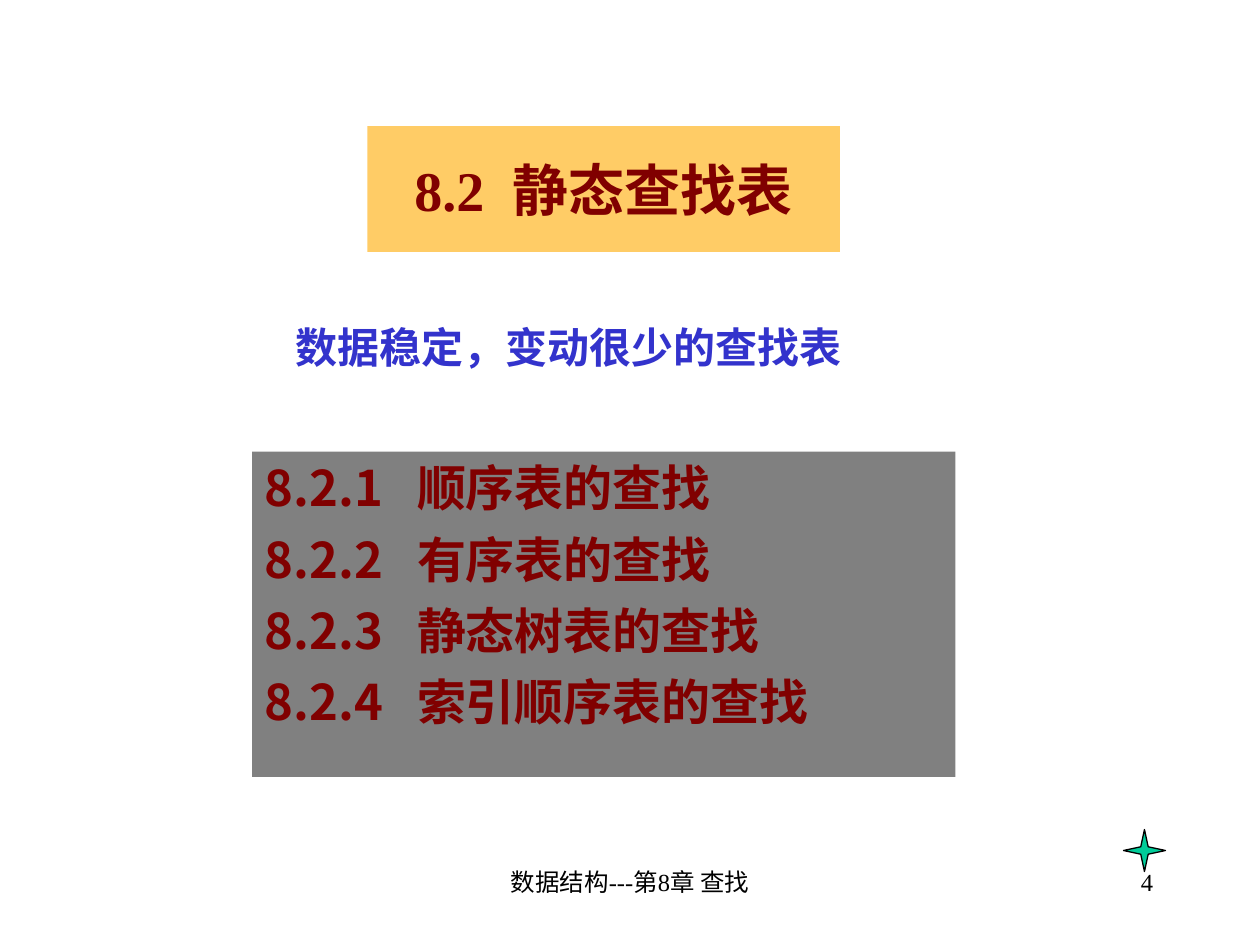
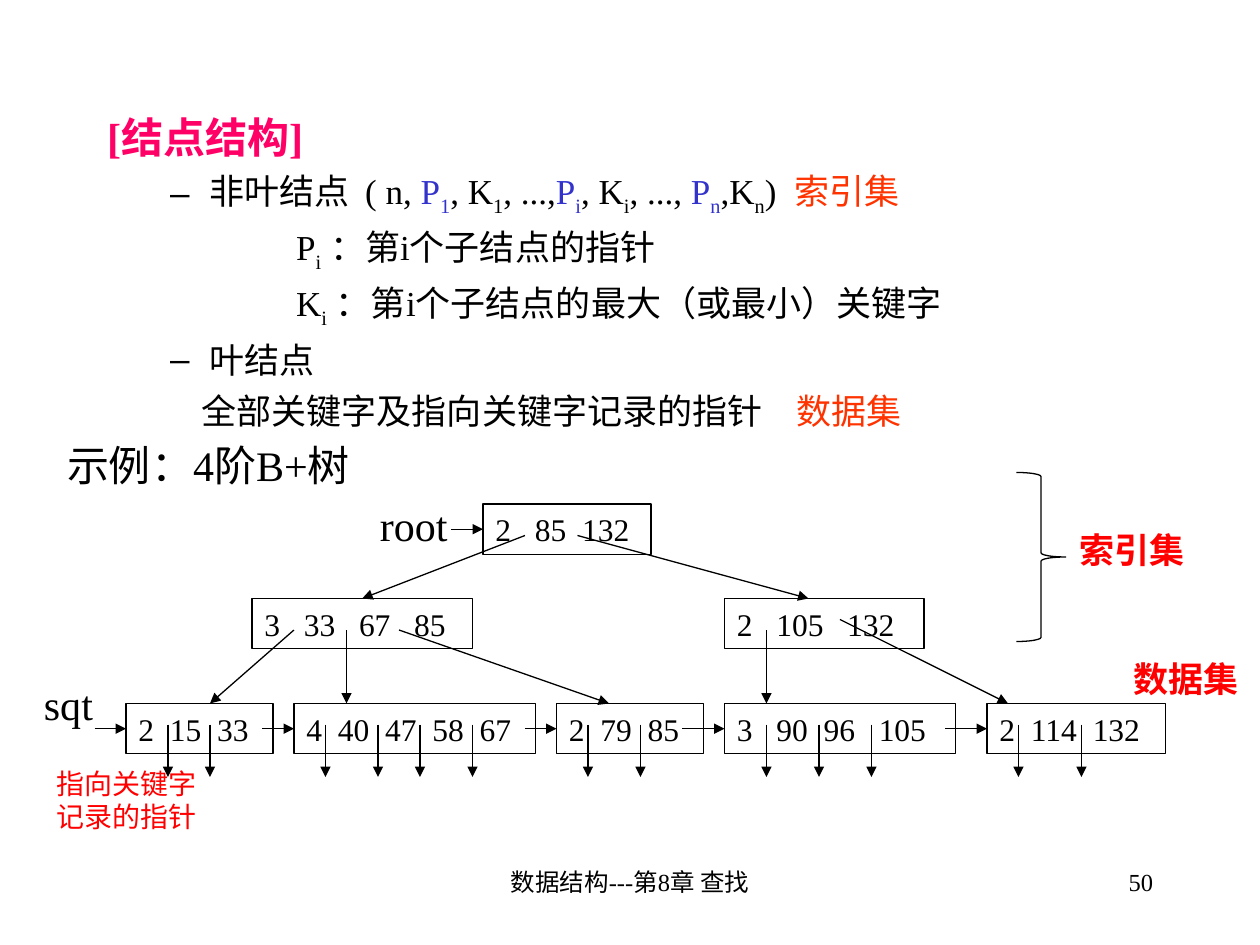
from dataclasses import dataclass

from lxml.etree import SubElement
from pptx import Presentation
from pptx.dml.color import RGBColor
from pptx.enum.shapes import MSO_CONNECTOR, MSO_SHAPE
from pptx.enum.text import MSO_ANCHOR, MSO_AUTO_SIZE, PP_ALIGN
from pptx.oxml.ns import qn
from pptx.util import Inches, Pt

COLUMNS, ROWS = 120, 90
SLIDE_WIDTH, SLIDE_HEIGHT = Inches(10), Inches(7.5)


@dataclass(frozen=True)
class Theme:
    serif: str = "Times New Roman"
    sans: str = "Noto Sans CJK SC"
    black: str = "000000"
    maroon: str = "800000"
    blue: str = "3333CC"
    pink: str = "FF0066"
    orange: str = "FF3300"
    red: str = "FF0000"
    green: str = "00CC99"
    title_band: str = "FFCC66"
    list_band: str = "808080"
    title: int = 32
    section: int = 28
    heading: int = 24
    body: int = 20
    key: int = 18
    note: int = 16
    footer: int = 14
    line: float = 0.75
    leading: float = 1.2


THEME = Theme()


@dataclass(frozen=True)
class Box:
    """An area counted in columns and rows of the slide grid."""
    left: float
    top: float
    width: float
    height: float

    def inner(self, left, top, width, height):
        return Box(self.left + left, self.top + top, width, height)

    def emu(self):
        column, row = SLIDE_WIDTH / COLUMNS, SLIDE_HEIGHT / ROWS
        return (round(self.left * column), round(self.top * row),
                round(self.width * column), round(self.height * row))


SLIDE = Box(0, 0, COLUMNS, ROWS)


def format_run(run, size, color, font=THEME.serif, bold=False):
    run.font.size = Pt(size)
    run.font.bold = bold
    run.font.color.rgb = RGBColor.from_string(color)
    run.font.name = font
    SubElement(run._r.get_or_add_rPr(), qn("a:ea"), typeface=THEME.sans)


def add_run(paragraph, text, size, color=THEME.black):
    run = paragraph.add_run()
    run.text = text
    format_run(run, size, color)
    return run


def add_gap(paragraph, size, units):
    """Add one space, widened by character spacing to a number of quarter ems."""
    gap = add_run(paragraph, " ", size)
    gap._r.get_or_add_rPr().set("spc", str(size * 25 * (units - 1)))


def format_paragraph(paragraph, size, color=THEME.black, font=THEME.serif,
                     bold=False, align=PP_ALIGN.LEFT, before=0):
    paragraph.alignment = align
    paragraph.space_before = Pt(before)
    paragraph.line_spacing = Pt(size * THEME.leading)
    for run in paragraph.runs:
        format_run(run, size, color, font, bold)


def set_indent(paragraph, margin, first=0, bullet=None):
    """Set margin and first-line indent, in inches, and the bullet."""
    properties = paragraph._p.get_or_add_pPr()
    properties.set("marL", str(Inches(margin)))
    properties.set("indent", str(Inches(first)))
    if bullet:
        bullet_color = SubElement(properties, qn("a:buClr"))
        SubElement(bullet_color, qn("a:srgbClr"), val=THEME.black)
        SubElement(properties, qn("a:buChar"), char=bullet)
    else:
        SubElement(properties, qn("a:buNone"))


def place(placeholder, box, fill=None):
    """Move a placeholder to the box and return its text frame."""
    (placeholder.left, placeholder.top,
     placeholder.width, placeholder.height) = box.emu()
    if fill:
        placeholder.fill.solid()
        placeholder.fill.fore_color.rgb = RGBColor.from_string(fill)
    frame = placeholder.text_frame
    frame.auto_size = MSO_AUTO_SIZE.NONE
    return frame


def add_label(slide, box, text, size, **style):
    frame = slide.shapes.add_textbox(*box.emu()).text_frame
    frame.word_wrap = True
    frame.text = text
    format_paragraph(frame.paragraphs[0], size, **style)


def add_outlined(slide, preset, box, fill=None):
    shape = slide.shapes.add_shape(preset, *box.emu())
    shape.shadow.inherit = False
    if fill:
        shape.fill.solid()
        shape.fill.fore_color.rgb = RGBColor.from_string(fill)
    else:
        shape.fill.background()
    shape.line.color.rgb = RGBColor.from_string(THEME.black)
    shape.line.width = Pt(THEME.line)
    return shape


def add_arrow(slide, box, start, end, target=None, side=0):
    """Draw an arrow between grid points, joined to a side of the target if given."""
    x1, y1, _, _ = box.inner(*start, 0, 0).emu()
    x2, y2, _, _ = box.inner(*end, 0, 0).emu()
    arrow = slide.shapes.add_connector(MSO_CONNECTOR.STRAIGHT, x1, y1, x2, y2)
    arrow.line.color.rgb = RGBColor.from_string(THEME.black)
    arrow.line.width = Pt(THEME.line)
    SubElement(arrow.line._get_or_add_ln(), qn("a:tailEnd"), type="triangle")
    SubElement(arrow._element.spPr, qn("a:effectLst"))
    if target is not None:
        arrow.end_connect(target, side)


def add_footer(slide, box, number):
    add_label(slide, box.inner(41, 82, 38, 6), "数据结构---第8章 查找",
              THEME.footer, align=PP_ALIGN.CENTER)
    add_label(slide, box.inner(86, 82, 25, 6), number,
              THEME.footer, align=PP_ALIGN.RIGHT)


SECTIONS = ("顺序表的查找", "有序表的查找", "静态树表的查找", "索引顺序表的查找")


def build_section_slide(slide, box):
    add_footer(slide, box, "4")
    title = place(slide.shapes.title, box.inner(35, 12, 45, 12), THEME.title_band)
    title.vertical_anchor = MSO_ANCHOR.MIDDLE
    title.text = "8.2  静态查找表"
    format_paragraph(title.paragraphs[0], THEME.title, THEME.maroon,
                     bold=True, align=PP_ALIGN.CENTER)

    contents = place(slide.placeholders[1], box.inner(24, 43, 67, 31), THEME.list_band)
    contents.text = "\n".join(f"8.2.{i}\t{name}" for i, name in enumerate(SECTIONS, 1))
    for i, section in enumerate(contents.paragraphs):
        set_indent(section, 1.21, -1.21)
        format_paragraph(section, THEME.section, THEME.maroon, THEME.sans,
                         bold=True, before=7.2 if i else 0)

    add_outlined(slide, MSO_SHAPE.STAR_4_POINT, box.inner(107, 79, 4, 4), THEME.green)
    add_label(slide, box.inner(27, 30, 66, 6), "数据稳定，变动很少的查找表",
              THEME.heading, color=THEME.blue, bold=True)


BULLET = dict(margin=0.81, first=-0.31, bullet="–")
DEFINITION = dict(margin=1.75, first=-0.25)
# Each line: indent, space before, then pieces of text with colour.
# "_" starts a subscript, "~" a gap of so many quarter ems.
STRUCTURE = (
    (BULLET, 8, (("非叶结点  ( n, ", THEME.black), ("P", THEME.blue), ("_1", THEME.blue),
                 (", K", THEME.black), ("_1", THEME.black), (", ...,", THEME.black),
                 ("P", THEME.blue), ("_i", THEME.blue), (", K", THEME.black),
                 ("_i", THEME.black), (", ..., ", THEME.black), ("P", THEME.blue),
                 ("_n", THEME.blue), (",K", THEME.black), ("_n", THEME.black),
                 (")  ", THEME.black), ("索引集", THEME.orange))),
    (DEFINITION, 8, (("P", THEME.black), ("_i", THEME.black),
                     (" ：第i个子结点的指针", THEME.black))),
    (DEFINITION, 8, (("K", THEME.black), ("_i", THEME.black),
                     (" ：第i个子结点的最大（或最小）关键字", THEME.black))),
    (BULLET, 5, (("叶结点", THEME.black),)),
    (dict(margin=0.75), 5, (("全部关键字及指向关键字记录的指针", THEME.black),
                            ("~4", THEME.black), ("数据集", THEME.orange))),
)


def fill_structure(placeholder, box):
    frame = place(placeholder, box)
    frame.text = "[结点结构]"
    heading = frame.paragraphs[0]
    set_indent(heading, 0.38, -0.38)
    format_paragraph(heading, THEME.heading, THEME.pink, bold=True)
    for indent, before, pieces in STRUCTURE:
        paragraph = frame.add_paragraph()
        set_indent(paragraph, **indent)
        format_paragraph(paragraph, THEME.body, before=before)
        for text, color in pieces:
            if text.startswith("~"):
                add_gap(paragraph, THEME.body, int(text[1:]))
                continue
            run = add_run(paragraph, text.removeprefix("_"), THEME.body, color)
            if text.startswith("_"):
                run._r.get_or_add_rPr().set("baseline", "-25000")


NODE_HEIGHT = 4.8
ROOT_ROW, INNER_ROW, LEAF_ROW = 7, 16, 26
# Left column, width, count of keys, then each key with the gap before it.
ROOT = (43, 16, 2, ((3, 85), (2, 132)))
INNER = ((21, 21, 3, ((3, 33), (3, 67), (3, 85))),
         (66, 19, 2, ((3, 105), (3, 132))))
# Each leaf adds the start of its incoming arrow and its record pointers.
LEAVES = (
    ((9, 14, 2, ((2, 15), (2, 33))), 6, (4, 8)),
    ((25, 23, 4, ((2, 40), (2, 47), (2, 58), (2, 67))), 22, (3, 8, 12, 17)),
    ((50, 14, 2, ((2, 79), (2, 85))), 47, (3, 8)),
    ((66, 22, 3, ((3, 90), (2, 96), (3, 105))), 62, (4, 9, 14)),
    ((91, 17, 2, ((2, 114), (2, 132))), 87, (3, 9)),
)
CHILD_ARROWS = (
    ((52, 10), (74, INNER_ROW)),
    ((25, 19), (17, LEAF_ROW)), ((30, 19), (30, LEAF_ROW)),
    ((35, 19), (55, LEAF_ROW)), ((70, 19), (70, LEAF_ROW)),
    ((77, 18), (93, LEAF_ROW)),
)


def add_node(slide, box, row, left, width, count, keys):
    node = add_outlined(slide, MSO_SHAPE.RECTANGLE,
                        box.inner(left, row, width, NODE_HEIGHT))
    frame = node.text_frame
    frame.vertical_anchor = MSO_ANCHOR.TOP
    frame.text = str(count)
    paragraph = frame.paragraphs[0]
    format_paragraph(paragraph, THEME.key)
    for gap, key in keys:
        add_gap(paragraph, THEME.key, gap)
        add_run(paragraph, str(key), THEME.key)
    return node


def add_entry_arrow(slide, box, start, row, node):
    """Draw a level arrow into the left side of a node."""
    middle = row + NODE_HEIGHT / 2
    add_arrow(slide, box, (start, middle), (start + 3, middle), node, side=1)


def draw_tree(slide, box):
    root = add_node(slide, box, ROOT_ROW, *ROOT)
    left_inner, _ = [add_node(slide, box, INNER_ROW, *node) for node in INNER]
    add_entry_arrow(slide, box, 40, ROOT_ROW, root)
    add_arrow(slide, box, (47, 10), (31.5, INNER_ROW), left_inner)
    for node, entry, pointers in LEAVES:
        leaf = add_node(slide, box, LEAF_ROW, *node)
        add_entry_arrow(slide, box, entry, LEAF_ROW, leaf)
        for offset in pointers:
            column = node[0] + offset
            add_arrow(slide, box, (column, LEAF_ROW + 2), (column, LEAF_ROW + 7))
    for start, end in CHILD_ARROWS:
        add_arrow(slide, box, start, end)


def label_tree(slide, box):
    for area, text in (((2.2, 0.3, 33, 10.8), "示例：4阶B+树"),
                       ((32, 6, 16, 6), "root"), ((0, 23, 10, 6), "sqt")):
        add_label(slide, box.inner(*area), text, THEME.heading)
    add_label(slide, box.inner(1.2, 31.4, 17, 7.7), "指向关键字记录的指针",
              THEME.note, color=THEME.red, font=THEME.sans)
    for left, top, text in ((98.6, 8.7, "索引集"), (103.8, 21, "数据集")):
        add_label(slide, box.inner(left, top, 13.2, 5.3), text, THEME.body,
                  color=THEME.red, font=THEME.sans, bold=True)
    add_outlined(slide, MSO_SHAPE.RIGHT_BRACE, box.inner(93.8, 4, 4.7, 16.1))


def build_tree_slide(slide, box):
    title = slide.shapes.title._element
    title.getparent().remove(title)
    add_footer(slide, box, "50")
    fill_structure(slide.placeholders[1], box.inner(9, 10, 102, 70))
    tree = box.inner(3, 41, 117, 39)
    draw_tree(slide, tree)
    label_tree(slide, tree)


def main():
    presentation = Presentation()
    presentation.slide_width, presentation.slide_height = SLIDE_WIDTH, SLIDE_HEIGHT
    for build in (build_section_slide, build_tree_slide):
        build(presentation.slides.add_slide(presentation.slide_layouts[1]), SLIDE)
    presentation.save("out.pptx")


if __name__ == "__main__":
    main()
